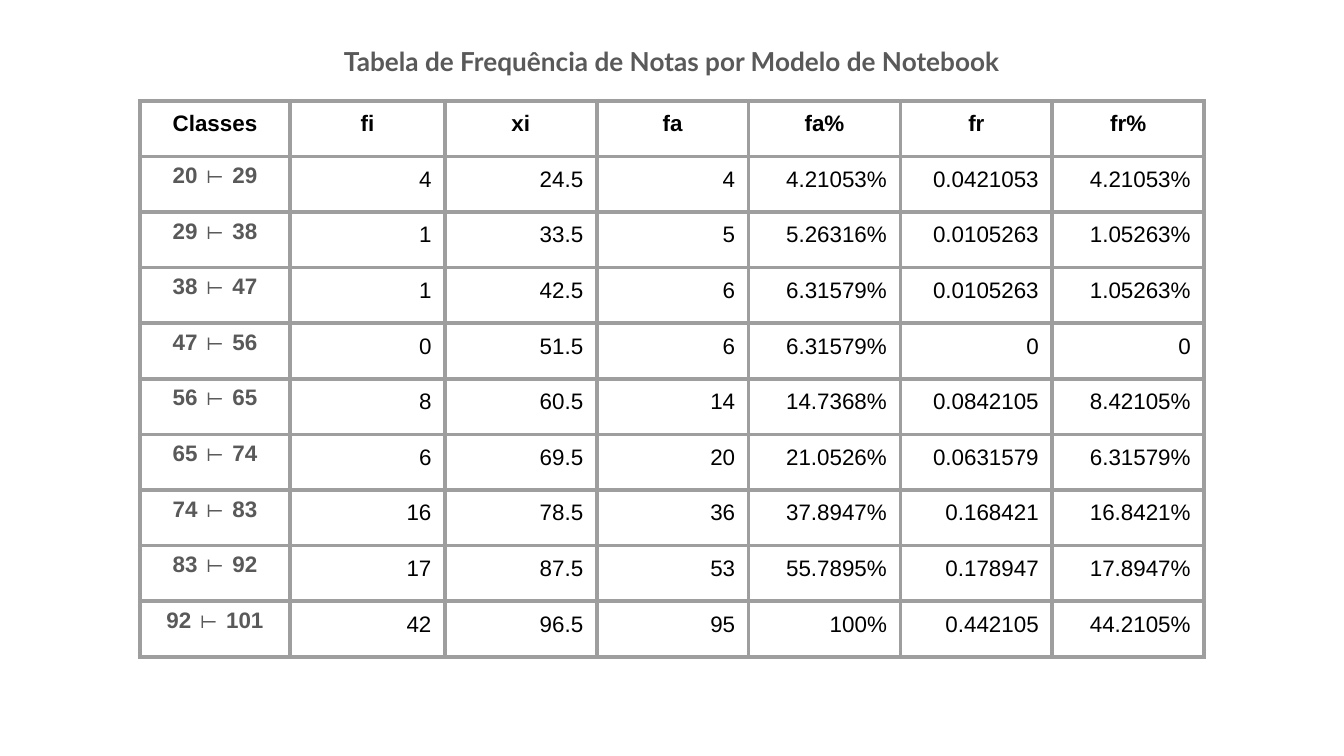
"""Build the slide with the frequency table of notebook grades."""
import pptx
import pptx.dml.color
import pptx.enum.text
import pptx.oxml
import pptx.oxml.ns
import pptx.util

Inches = pptx.util.Inches
ALIGN = pptx.enum.text.PP_ALIGN
ANCHOR = pptx.enum.text.MSO_ANCHOR

BLACK, DARK_GREY, BORDER_GREY = "000000", "595959", "9E9E9E"
TITLE = "Tabela de Frequência de Notas por Modelo de Notebook"
HEADINGS = ["Classes", "fi", "xi", "fa", "fa%", "fr", "fr%"]
FREQUENCIES = [
    ["20 ⊢ 29", "4", "24.5", "4", "4.21053%", "0.0421053", "4.21053%"],
    ["29 ⊢ 38", "1", "33.5", "5", "5.26316%", "0.0105263", "1.05263%"],
    ["38 ⊢ 47", "1", "42.5", "6", "6.31579%", "0.0105263", "1.05263%"],
    ["47 ⊢ 56", "0", "51.5", "6", "6.31579%", "0", "0"],
    ["56 ⊢ 65", "8", "60.5", "14", "14.7368%", "0.0842105", "8.42105%"],
    ["65 ⊢ 74", "6", "69.5", "20", "21.0526%", "0.0631579", "6.31579%"],
    ["74 ⊢ 83", "16", "78.5", "36", "37.8947%", "0.168421", "16.8421%"],
    ["83 ⊢ 92", "17", "87.5", "53", "55.7895%", "0.178947", "17.8947%"],
    ["92 ⊢ 101", "42", "96.5", "95", "100%", "0.442105", "44.2105%"],
]
COLUMN_WIDTHS = [1.12, 1.15] + [1.13] * 5
TABLE_HEIGHT = 4.14


def rgb(hex_color):
    """Return the colour for a hex string."""
    return pptx.dml.color.RGBColor.from_string(hex_color)


def write(paragraph, text, font, size, color, bold, align, spacing=1.0):
    """Add one formatted run to a paragraph."""
    paragraph.alignment = align
    paragraph.line_spacing = spacing
    run = paragraph.add_run()
    run.text = text
    run.font.name = font
    run.font.size = pptx.util.Pt(size)
    run.font.bold = bold
    run.font.color.rgb = rgb(color)


def add_title(slide):
    """Place and format the title placeholder."""
    title = slide.shapes.title
    title.left, title.top = Inches(1.36), Inches(0.24)
    title.width, title.height = Inches(7.28), Inches(0.41)
    frame = title.text_frame
    frame.word_wrap = True
    frame.auto_size = pptx.enum.text.MSO_AUTO_SIZE.NONE
    frame.vertical_anchor = ANCHOR.TOP
    frame.margin_left = frame.margin_right = Inches(0.1)
    frame.margin_top = frame.margin_bottom = Inches(0.1)
    write(frame.paragraphs[0], TITLE, "Lato", 14, DARK_GREY, True, ALIGN.CENTER)


def outline_cell(cell, color, points):
    """Draw the four borders of a cell."""
    properties = cell._tc.get_or_add_tcPr()
    for index, side in enumerate(("lnL", "lnR", "lnT", "lnB")):
        border = pptx.oxml.parse_xml(
            f'<a:{side} {pptx.oxml.ns.nsdecls("a")} w="{pptx.util.Pt(points)}">'
            f'<a:solidFill><a:srgbClr val="{color}"/></a:solidFill></a:{side}>'
        )
        properties.insert(index, border)


def fill_cell(cell, text, is_heading, is_class):
    """Write and format one cell according to its role."""
    cell.fill.background()
    cell.vertical_anchor = ANCHOR.TOP
    cell.margin_left = cell.margin_right = Inches(0.1)
    cell.margin_top = cell.margin_bottom = Inches(0.05)
    class_label = is_class and not is_heading
    label = is_heading or is_class
    write(
        cell.text_frame.paragraphs[0], text, "Arial", 12,
        color=DARK_GREY if class_label else BLACK,
        bold=label,
        align=ALIGN.CENTER if label else ALIGN.RIGHT,
        spacing=1.0 if class_label else 1.15,
    )
    outline_cell(cell, BORDER_GREY, 2.21)


def add_frequency_table(slide):
    """Add the table of classes and frequencies."""
    rows = [HEADINGS] + FREQUENCIES
    table = slide.shapes.add_table(
        len(rows), len(HEADINGS), Inches(1.04), Inches(0.75),
        Inches(sum(COLUMN_WIDTHS)), Inches(TABLE_HEIGHT),
    ).table
    table.horz_banding = False
    for column, width in zip(table.columns, COLUMN_WIDTHS):
        column.width = Inches(width)
    for r, values in enumerate(rows):
        for c, value in enumerate(values):
            fill_cell(table.cell(r, c), value, is_heading=r == 0, is_class=c == 0)


def main():
    """Build and save the widescreen presentation."""
    presentation = pptx.Presentation()
    presentation.slide_width = Inches(10)
    presentation.slide_height = Inches(10) * 9 // 16
    slide = presentation.slides.add_slide(presentation.slide_layouts[5])
    add_title(slide)
    add_frequency_table(slide)
    presentation.save("out.pptx")


if __name__ == "__main__":
    main()
